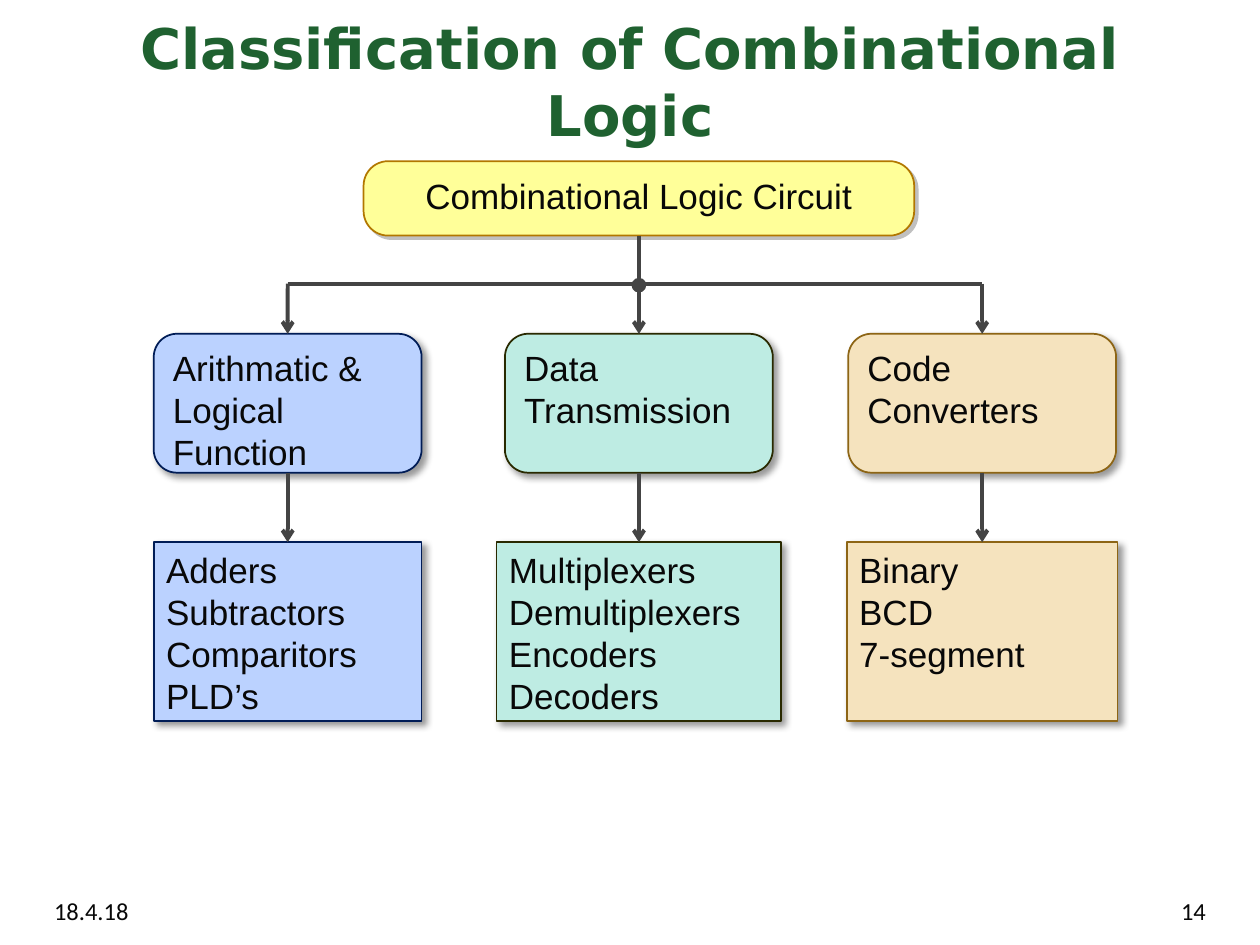
from dataclasses import dataclass

from lxml.etree import SubElement
from pptx import Presentation
from pptx.dml.color import RGBColor
from pptx.enum.shapes import MSO_CONNECTOR as Connector, MSO_SHAPE as Shape
from pptx.enum.text import MSO_ANCHOR as Anchor, MSO_AUTO_SIZE as AutoSize, PP_ALIGN as Align
from pptx.oxml.ns import qn
from pptx.util import Cm, Pt


@dataclass(frozen=True)
class Theme:
    title: str = "1F6130"
    text: str = "080808"
    arrow: str = "444444"
    yellow: tuple = ("FFFF99", "B27700")
    blue: tuple = ("BBD2FF", "001C56")
    green: tuple = ("BEECE3", "292900")
    sand: tuple = ("F5E3BE", "8D6515")
    # Shadow: colour, opacity %, blur pt, distance pt
    hard_shadow: tuple = ("C0C0C0", 100, 0, 2.8)
    soft_shadow: tuple = ("000000", 40, 4, 3)
    title_size: int = 32
    body_size: int = 20
    footer_size: int = 14
    title_font: str = "DejaVu Sans"
    body_font: str = "Arial"
    footer_font: str = "Calibri"


THEME = Theme()
TOP, BOTTOM = 0, 2  # connection sites

# Centre, list width, colours, heading and list entries of each branch
BRANCHES = [
    (5.8, 5.4, THEME.blue, "Arithmatic & Logical Function",
     ["Adders", "Subtractors", "Comparitors", "PLD’s"]),
    (12.88, 5.74, THEME.green, "Data Transmission",
     ["Multiplexers", "Demultiplexers", "Encoders", "Decoders"]),
    (19.8, 5.46, THEME.sand, "Code Converters",
     ["Binary", "BCD", "7-segment"]),
]


def write(text_frame, lines, font, size, color, align=Align.LEFT, bold=False):
    text_frame.word_wrap = True
    text_frame.text = "\n".join(lines)
    for paragraph in text_frame.paragraphs:
        paragraph.alignment = align
        for run in paragraph.runs:
            run.font.name = font
            run.font.size = Pt(size)
            run.font.bold = bold
            run.font.color.rgb = RGBColor.from_string(color)


def add_shadow(shape, color, opacity, blur, distance):
    effects = shape._element.spPr.find(qn("a:effectLst"))
    shadow = SubElement(effects, qn("a:outerShdw"), blurRad=str(Pt(blur)),
                        dist=str(Pt(distance)), dir="2700000",
                        algn="tl", rotWithShape="0")
    tint = SubElement(shadow, qn("a:srgbClr"), val=color)
    SubElement(tint, qn("a:alpha"), val=str(opacity * 1000))


def add_filled(slide, kind, box, colors):
    shape = slide.shapes.add_shape(kind, *map(Cm, box))
    shape.shadow.inherit = False
    fill, line = colors
    shape.fill.solid()
    shape.fill.fore_color.rgb = RGBColor.from_string(fill)
    shape.line.color.rgb = RGBColor.from_string(line)
    shape.line.width = Pt(1)
    return shape


def add_box(slide, kind, box, colors, lines, shadow=THEME.soft_shadow, align=Align.LEFT):
    shape = add_filled(slide, kind, box, colors)
    add_shadow(shape, *shadow)
    shape.text_frame.vertical_anchor = Anchor.TOP
    write(shape.text_frame, lines, THEME.body_font, THEME.body_size, THEME.text, align)
    return shape


def add_line(slide, start, end, arrow=True):
    line = slide.shapes.add_connector(Connector.STRAIGHT, *map(Cm, start + end))
    line.line.color.rgb = RGBColor.from_string(THEME.arrow)
    line.line.width = Pt(2.25)
    properties = line._element.spPr
    if arrow:
        SubElement(properties.get_or_add_ln(), qn("a:tailEnd"), type="arrow")
    SubElement(properties, qn("a:effectLst"))
    return line


def join(slide, upper, lower):
    arrow = add_line(slide, (0, 0), (0, 0))
    arrow.begin_connect(upper, BOTTOM)
    arrow.end_connect(lower, TOP)


def add_title(slide, box):
    title = slide.shapes.title
    title.left, title.top, title.width, title.height = map(Cm, box)
    title.text_frame.auto_size = AutoSize.NONE
    title.text_frame.vertical_anchor = Anchor.MIDDLE
    write(title.text_frame, ["Classification of Combinational Logic"], THEME.title_font,
          THEME.title_size, THEME.title, Align.CENTER, bold=True)


def add_branch(slide, box, list_width, colors, heading, entries):
    """Place a heading, its list and the arrow between them."""
    left, top, width, height = box
    head_height, list_height = 2.8, 3.6
    head = add_box(slide, Shape.ROUNDED_RECTANGLE, (left, top, width, head_height),
                   colors, [heading])
    list_box = (left + (width - list_width) / 2, top + height - list_height,
                list_width, list_height)
    listing = add_box(slide, Shape.RECTANGLE, list_box, colors, entries)
    join(slide, head, listing)
    return head


def add_tree(slide, box):
    left, top, width, height = box
    centers = [branch[0] for branch in BRANCHES]
    middle = centers[1]
    bus, branch_top, head_width = top + 2.47, top + 3.48, 5.4

    # Root
    root = add_box(slide, Shape.ROUNDED_RECTANGLE, (middle - 5.55, top, 11.1, 1.5),
                   THEME.yellow, ["Combinational Logic Circuit"],
                   THEME.hard_shadow, Align.CENTER)
    root.adjustments[0] = 0.33

    # Branches
    heads = [add_branch(slide, (center - head_width / 2, branch_top, head_width,
                                top + height - branch_top), *branch)
             for center, *branch in BRANCHES]

    # Bus with its drops and the junction dot
    add_line(slide, (centers[0], bus), (centers[-1], bus), arrow=False)
    join(slide, root, heads[1])
    for center, head in ((centers[0], heads[0]), (centers[-1], heads[-1])):
        drop = add_line(slide, (center, bus), (center, branch_top))
        drop.end_connect(head, TOP)
    add_filled(slide, Shape.OVAL, (middle - 0.13, bus - 0.1, 0.26, 0.26),
               (THEME.arrow, THEME.arrow))


def add_footer(slide, box):
    left, top, width, height = box
    field = 6.35
    for x, text, align in ((left, "18.4.18", Align.LEFT),
                           (left + width - field, "14", Align.RIGHT)):
        label = slide.shapes.add_textbox(*map(Cm, (x, top, field, height)))
        write(label.text_frame, [text], THEME.footer_font, THEME.footer_size,
              THEME.text, align)


def main():
    presentation = Presentation()
    presentation.slide_width, presentation.slide_height = Cm(25.4), Cm(19.05)
    slide = presentation.slides.add_slide(presentation.slide_layouts[5])
    add_title(slide, (0.84, 0.64, 23.72, 1.98))
    add_tree(slide, (3.1, 3.25, 19.43, 11.28))
    add_footer(slide, (0.84, 17.93, 23.72, 0.74))
    presentation.save("out.pptx")


if __name__ == "__main__":
    main()
